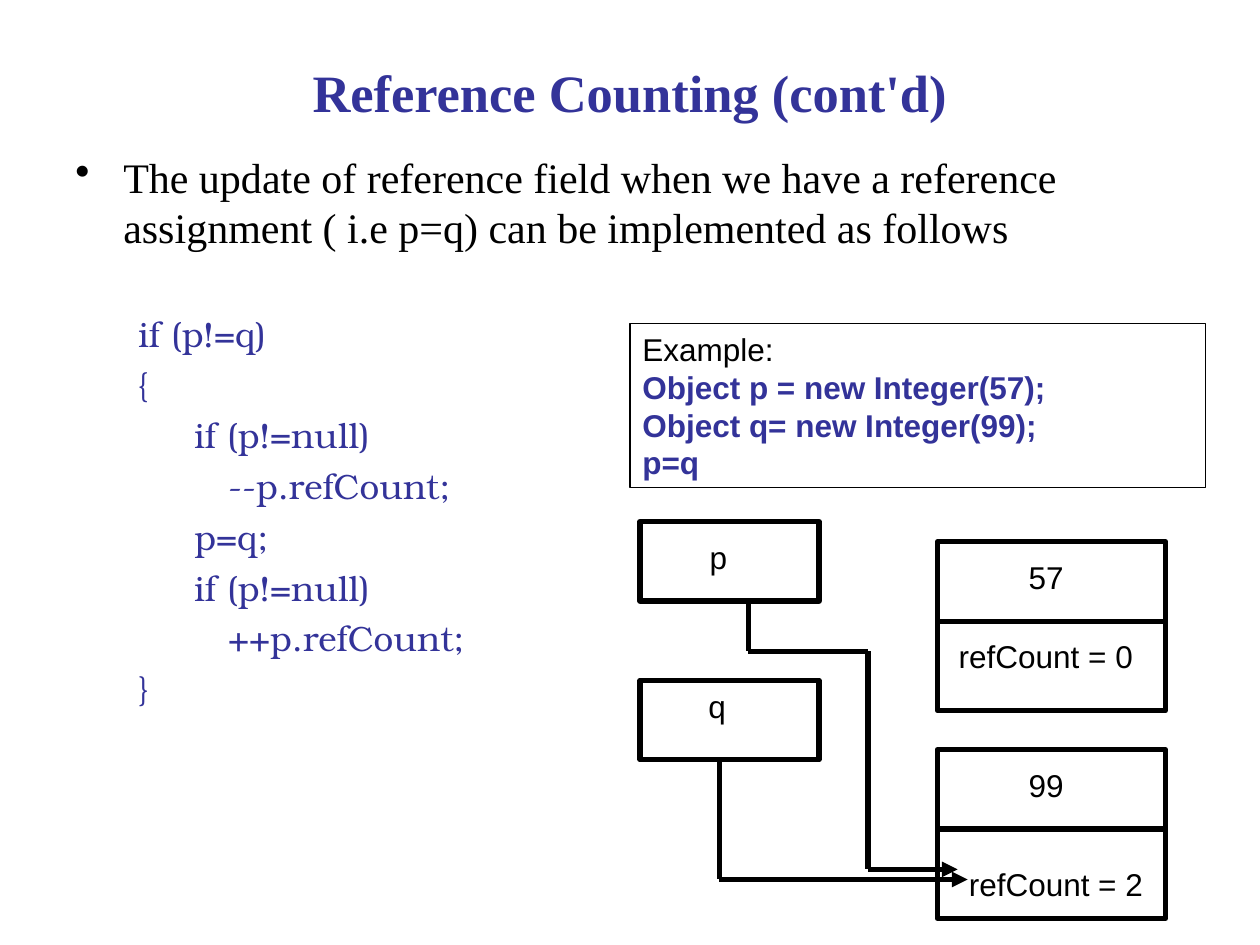
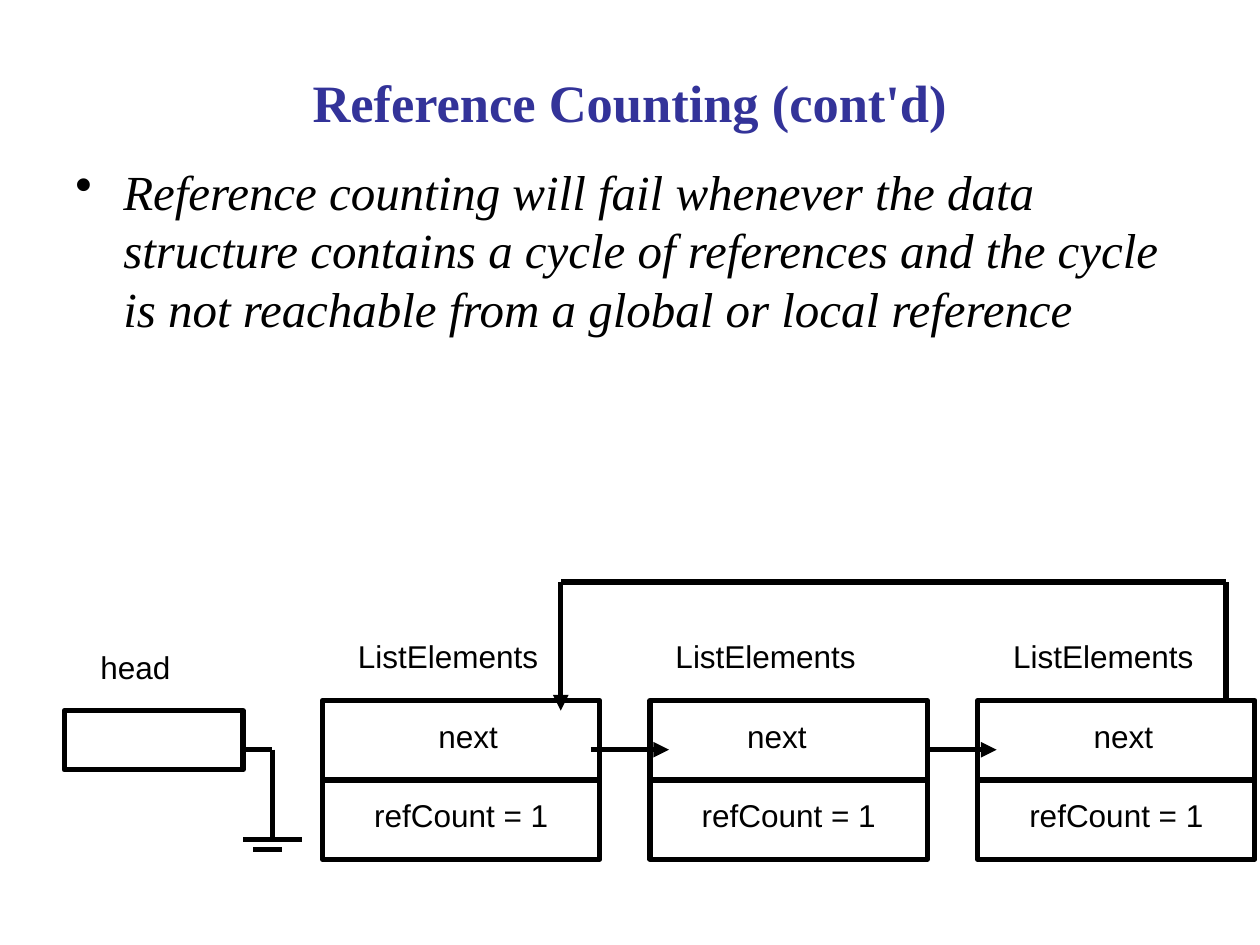
from dataclasses import dataclass
from itertools import pairwise

import pptx
import pptx.dml.color
import pptx.enum.shapes
import pptx.enum.text
import pptx.oxml.ns
import pptx.util
from lxml import etree
from pptx.util import Inches

ALIGN = pptx.enum.text.PP_ALIGN
ANCHOR = pptx.enum.text.MSO_ANCHOR


@dataclass(frozen=True)
class Theme:
    ink: str = "000000"
    accent: str = "333399"
    serif: str = "Times New Roman"
    sans: str = "Arial"
    code: str = "TeX Gyre Bonum"
    title_size: int = 30
    code_size: int = 20
    label_size: int = 18
    line_width: float = 3
    frame_width: float = 0.75
    leading: float = 1.2


THEME = Theme()
UPDATE_CODE = [
    "if (p!=q)",
    "{",
    "     if (p!=null)",
    "        --p.refCount;",
    "     p=q;",
    "     if (p!=null)",
    "        ++p.refCount;",
    "}",
]


def rgb(value):
    return pptx.dml.color.RGBColor.from_string(value)


def add_child(parent, tag, **attributes):
    return etree.SubElement(parent, pptx.oxml.ns.qn(tag), attributes)


def add_bullet(para, indent):
    properties = para._p.get_or_add_pPr()
    properties.set("marL", str(Inches(indent)))
    properties.set("indent", str(-Inches(indent)))
    add_child(properties, "a:buChar", char="•")


def write(para, text, size=THEME.label_size, font=THEME.sans, color=THEME.ink,
          bold=False, italic=False, align=ALIGN.LEFT, before=0, leading=None,
          bullet_indent=None):
    if bullet_indent:
        add_bullet(para, bullet_indent)
    para.alignment = align
    para.space_before = pptx.util.Pt(before)
    if leading:
        para.line_spacing = pptx.util.Pt(round(size * leading, 1))
    span = para.add_run()
    span.text = text
    span.font.size = pptx.util.Pt(size)
    span.font.name = font
    span.font.bold = bold
    span.font.italic = italic
    span.font.color.rgb = rgb(color)


def add_text(page, left, top, width, height, lines, anchor=ANCHOR.TOP,
             before=0, **style):
    """Put each line in its own paragraph, with space before all but the first."""
    box = page.shapes.add_textbox(
        Inches(left), Inches(top), Inches(width), Inches(height))
    frame = box.text_frame
    frame.word_wrap = True
    frame.vertical_anchor = anchor
    for index, line in enumerate(lines):
        para = frame.add_paragraph() if index else frame.paragraphs[0]
        write(para, line, before=before if index else 0, **style)
    return box


def add_title(page, height):
    add_text(page, 0.5, 0.3, 9, height, ["Reference Counting (cont'd)"],
             anchor=ANCHOR.MIDDLE, size=THEME.title_size, font=THEME.serif,
             color=THEME.accent, bold=True, align=ALIGN.CENTER)


def add_point(page, top, height, text, **style):
    add_text(page, 0.5, top, 9.05, height, [text], font=THEME.serif,
             bullet_indent=0.38, leading=THEME.leading, **style)


def add_label(page, left, top, width, text):
    add_text(page, left, top, width, 0.4, [text], align=ALIGN.RIGHT)


def add_frame(page, left, top, width, height, line_width=THEME.line_width):
    frame = page.shapes.add_shape(
        pptx.enum.shapes.MSO_SHAPE.RECTANGLE,
        Inches(left), Inches(top), Inches(width), Inches(height))
    frame.shadow.inherit = False
    frame.fill.background()
    frame.line.color.rgb = rgb(THEME.ink)
    frame.line.width = pptx.util.Pt(line_width)
    return frame


def add_line(page, start, end, arrow=False):
    line = page.shapes.add_connector(
        pptx.enum.shapes.MSO_CONNECTOR.STRAIGHT,
        *(Inches(length) for length in (*start, *end)))
    line.line.color.rgb = rgb(THEME.ink)
    line.line.width = pptx.util.Pt(THEME.line_width)
    if arrow:
        add_child(line.line._get_or_add_ln(), "a:tailEnd", type="triangle")
    add_child(line._element.spPr, "a:effectLst")


def add_route(page, *points, arrow=True):
    """Join the points with straight lines; only the last may have an arrowhead."""
    for start, end in pairwise(points):
        add_line(page, start, end, arrow and end == points[-1])


def add_record(page, left, top, width, height):
    """Draw a box with a divider between its value and its count."""
    add_frame(page, left, top, width, height)
    divider = top + 0.63
    add_line(page, (left, divider), (left + width, divider))


def add_example(page):
    add_frame(page, 5, 2.57, 4.57, 1.3, THEME.frame_width)
    box = add_text(page, 5, 2.57, 4.57, 1.3, ["Example:"],
                   leading=THEME.leading)
    for line in ("Object p = new Integer(57);", "Object q= new Integer(99);",
                 "p=q"):
        write(box.text_frame.add_paragraph(), line, color=THEME.accent,
              bold=True, leading=THEME.leading)


def build_update_page(page):
    add_title(page, 0.85)
    add_point(page, 1.15, 1,
              "The update of reference field when we have a reference "
              "assignment ( i.e p=q) can be implemented as follows", size=24)
    add_text(page, 1, 2.43, 3.9, 3.3, UPDATE_CODE, before=5,
             size=THEME.code_size, font=THEME.code, color=THEME.accent,
             leading=THEME.leading)
    add_example(page)
    for record_top in (4.3, 5.95):
        add_record(page, 7.44, record_top, 1.81, 1.34)
    for variable_top in (4.14, 5.4):
        add_frame(page, 5.08, variable_top, 1.42, 0.63)
    for label in (
        (5, 4.22, 0.87, "p"),
        (4.76, 5.4, 1.1, "q"),
        (6.97, 4.38, 1.57, "57"),
        (7.28, 5.01, 1.81, "refCount = 0"),
        (7.99, 6.03, 0.55, "99"),
        (7.44, 6.82, 1.73, "refCount = 2"),
    ):
        add_label(page, *label)
    add_route(page, (5.94, 4.77), (5.94, 5.17), (6.89, 5.17), (6.89, 6.9),
              (7.6, 6.9))
    add_route(page, (5.71, 6.03), (5.71, 6.98), (7.68, 6.98))


def add_list_element(page, left, name_left, next_right):
    add_record(page, left, 5.56, 2.2, 1.26)
    add_label(page, name_left, 5.01, 1.89, "ListElements")
    add_label(page, next_right - 1.26, 5.64, 1.26, "next")
    add_label(page, left - 0.08, 6.27, 1.97, "refCount = 1")


def add_empty_head(page):
    add_label(page, 0.43, 5.09, 1.02, "head")
    add_frame(page, 0.51, 5.64, 1.42, 0.47)
    add_route(page, (1.93, 5.95), (2.16, 5.95), (2.16, 6.66), arrow=False)
    add_line(page, (1.93, 6.66), (2.4, 6.66))
    add_line(page, (2.01, 6.74), (2.24, 6.74))


def build_cycle_page(page):
    add_title(page, 1.01)
    add_point(page, 1.23, 1.6,
              "Reference counting will fail whenever the data structure "
              "contains a cycle of references and the cycle is not reachable "
              "from a global or local reference", size=28, italic=True)
    add_empty_head(page)
    text_places = ((2.48, 4.05), (5, 6.5), (7.68, 9.25))
    for index, (name_left, next_right) in enumerate(text_places):
        add_list_element(page, 2.56 + 2.6 * index, name_left, next_right)
    add_route(page, (4.69, 5.95), (5.31, 5.95))
    add_route(page, (7.36, 5.95), (7.91, 5.95))
    add_route(page, (9.73, 5.56), (9.73, 4.62), (4.45, 4.62), (4.45, 5.64))


def main():
    deck = pptx.Presentation()
    deck.slide_width = Inches(10)
    deck.slide_height = Inches(7.5)
    for build in (build_update_page, build_cycle_page):
        build(deck.slides.add_slide(deck.slide_layouts[6]))
    deck.save("out.pptx")


if __name__ == "__main__":
    main()
